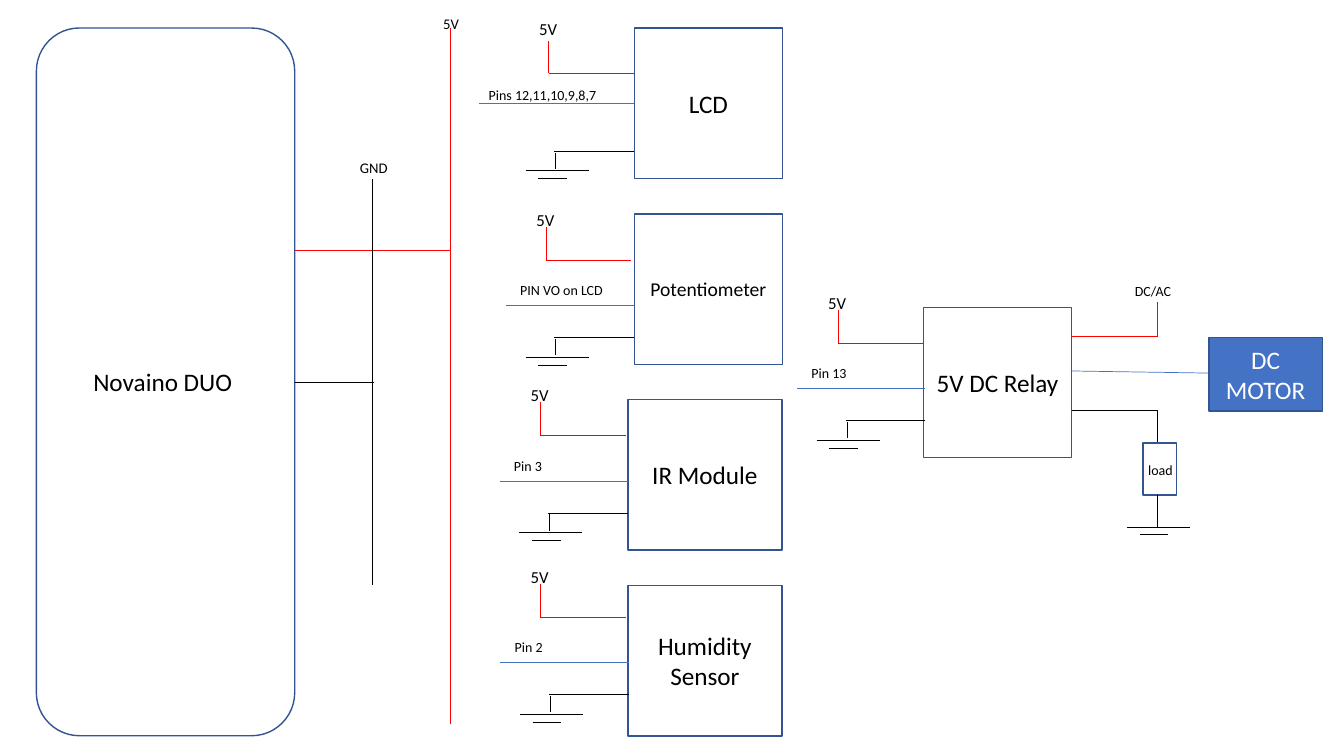
from pptx import Presentation
from pptx.dml.color import RGBColor
from pptx.enum import shapes, text
from pptx.oxml import ns
from pptx.util import Pt
from lxml import etree

COL = {"ink": "000000", "white": "FFFFFF", "edge": "325491",
       "blue": "4472C4", "red": "FF0000"}
FONT = "Calibri"
KIND = shapes.MSO_SHAPE

deck = Presentation()
deck.slide_width, deck.slide_height = Pt(960), Pt(540)
slide = deck.slides.add_slide(deck.slide_layouts[6])


def tint(name):
    return RGBColor.from_string(COL[name])


def style(para, size, color):
    para.font.size = Pt(size)
    para.font.name = FONT
    para.font.color.rgb = tint(color)


def block(box, words="", size=18, fill="white", color="ink", kind=KIND.RECTANGLE):
    part = slide.shapes.add_shape(kind, *map(Pt, box))
    part.shadow.inherit = False
    part.fill.solid()
    part.fill.fore_color.rgb = tint(fill)
    part.line.color.rgb = tint("edge")
    part.line.width = Pt(1)
    if words:
        frame = part.text_frame
        frame.word_wrap = True
        frame.vertical_anchor = text.MSO_ANCHOR.MIDDLE
        para = frame.paragraphs[0]
        para.text = words
        para.alignment = text.PP_ALIGN.CENTER
        style(para, size, color)


def label(x, y, words, size=10, width=37, wrap=False):
    area = slide.shapes.add_textbox(Pt(x), Pt(y), Pt(width), Pt(size * 1.2 + 7.2))
    frame = area.text_frame
    frame.word_wrap = wrap
    frame.auto_size = text.MSO_AUTO_SIZE.SHAPE_TO_FIT_TEXT
    frame.paragraphs[0].text = words
    style(frame.paragraphs[0], size, "ink")


def wire(color, *points):
    """Join the points with straight lines."""
    for start, end in zip(points, points[1:]):
        line = slide.shapes.add_connector(
            shapes.MSO_CONNECTOR.STRAIGHT, *map(Pt, start + end))
        line.line.color.rgb = tint(color)
        line.line.width = Pt(0.5)
        etree.SubElement(line._element.spPr, ns.qn("a:effectLst"))


def earth(x, y):
    """Two bars of a ground symbol below a riser at x."""
    wire("ink", (x - 21.5, y), (x + 23.5, y))
    wire("ink", (x - 12.5, y + 5.5), (x + 8, y + 5.5))


def board(box):
    x, y, w, h = box
    block(box, "Novaino DUO ", kind=KIND.ROUNDED_RECTANGLE)
    right = x + w
    # Supply rail
    rail = right + 111
    wire("red", (rail, y), (rail, y + 497.5))
    label(rail - 12, y - 13, "5V", 10.5, wrap=True)
    wire("red", (right, y + 158.5), (rail, y + 158.5))
    # Ground rail
    rail = right + 55.5
    wire("ink", (rail, y + 108), (rail, y + 398))
    label(rail - 16, y + 90, "GND", 10.5, 35)
    wire("ink", (right, y + 253), (right + 57, y + 253))


def module(box, words, pin, size=18, drop=25.5, gap=0, over=0,
           step=32.5, reach=91.5, shift=(3, -20.5), lift=39.5, wide=35):
    x, y = box[:2]
    block(box, words, size)
    # Supply lead
    top, end = y + drop, x - gap
    wire("red", (end, top), (end - 61, top), (end - 61, top - 23.5))
    label(end - 75, top - lift, "5V", 12, wrap=True)
    # Signal lead
    end, level = x + over, top + step
    wire("blue", (end, level), (end - reach, level))
    label(end - reach + shift[0], level + shift[1], pin, width=wide)
    # Ground lead
    base = top + 55.5
    wire("ink", (end, base), (end - 57, base))
    wire("ink", (end - 56, base + 1), (end - 56, base + 12.5))
    earth(end - 56, base + 14)


def output(box):
    """Supply, motor and load to the right of the relay."""
    x, y, w, h = box
    right, riser = x + w, x + w + 61
    wire("red", (right, y + 21), (riser, y + 21), (riser, y - 3.5))
    label(riser - 23, y - 21, "DC/AC", width=41)
    wire("blue", (right, y + 45.5), (right + 98, y + 47))
    block((right + 98, y + 21.5, 81, 52.5), "DC MOTOR", fill="blue", color="white")
    wire("ink", (right, y + 73.5), (riser, y + 73.5), (riser, y + 97))
    block((riser - 10, y + 97, 24, 37))
    wire("ink", (riser, y + 134), (riser, y + 157))
    earth(riser, y + 157)
    label(riser - 13.5, y + 106.5, "load", width=32)


board((26, 20, 184.5, 505.5))

# Sensor and display modules, one per row
HIGH, STEP = 107.5, 132.75
ROWS = [
    (453, 106, "LCD", "Pins 12,11,10,9,8,7",
     dict(drop=32.5, step=21.5, reach=111, shift=(0, -16), lift=43, wide=106)),
    (453, 106, "Potentiometer", "PIN VO on LCD",
     dict(size=14, drop=33, gap=2, wide=74)),
    (448.5, 110, "IR Module", "Pin 3", dict(gap=1.5)),
    (448.5, 110, "Humidity Sensor", "Pin 2", dict(drop=22.5, gap=1.5, over=0.5)),
]
for row, (left, wide, words, pin, extra) in enumerate(ROWS):
    module((left, 20 + row * STEP, wide, HIGH), words, pin, **extra)

# Relay stage
RELAY = (659.5, 219.5, 106, HIGH)
module(RELAY, "5V DC Relay", "Pin 13", over=1.5, wide=40)
output(RELAY)

deck.save("out.pptx")
